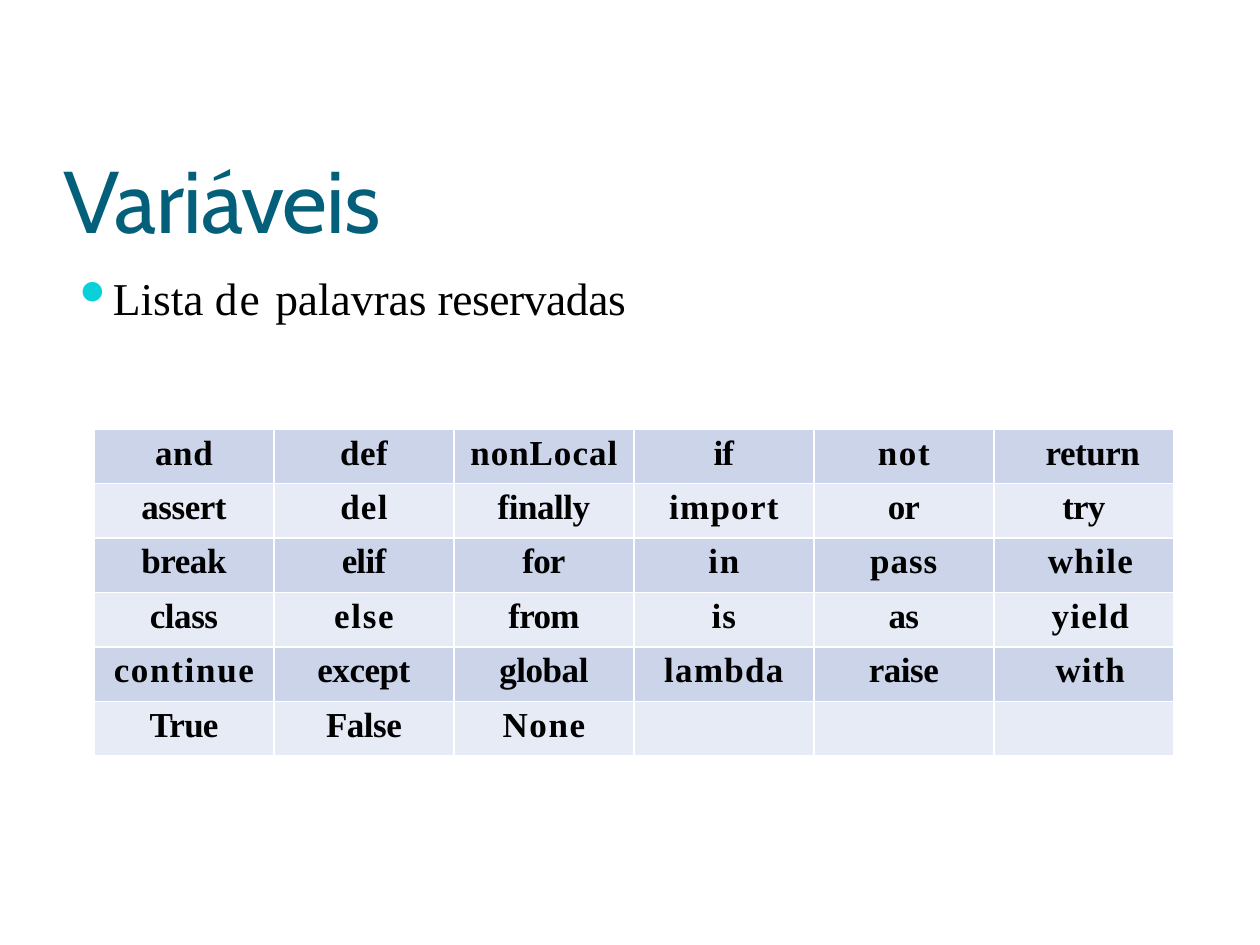
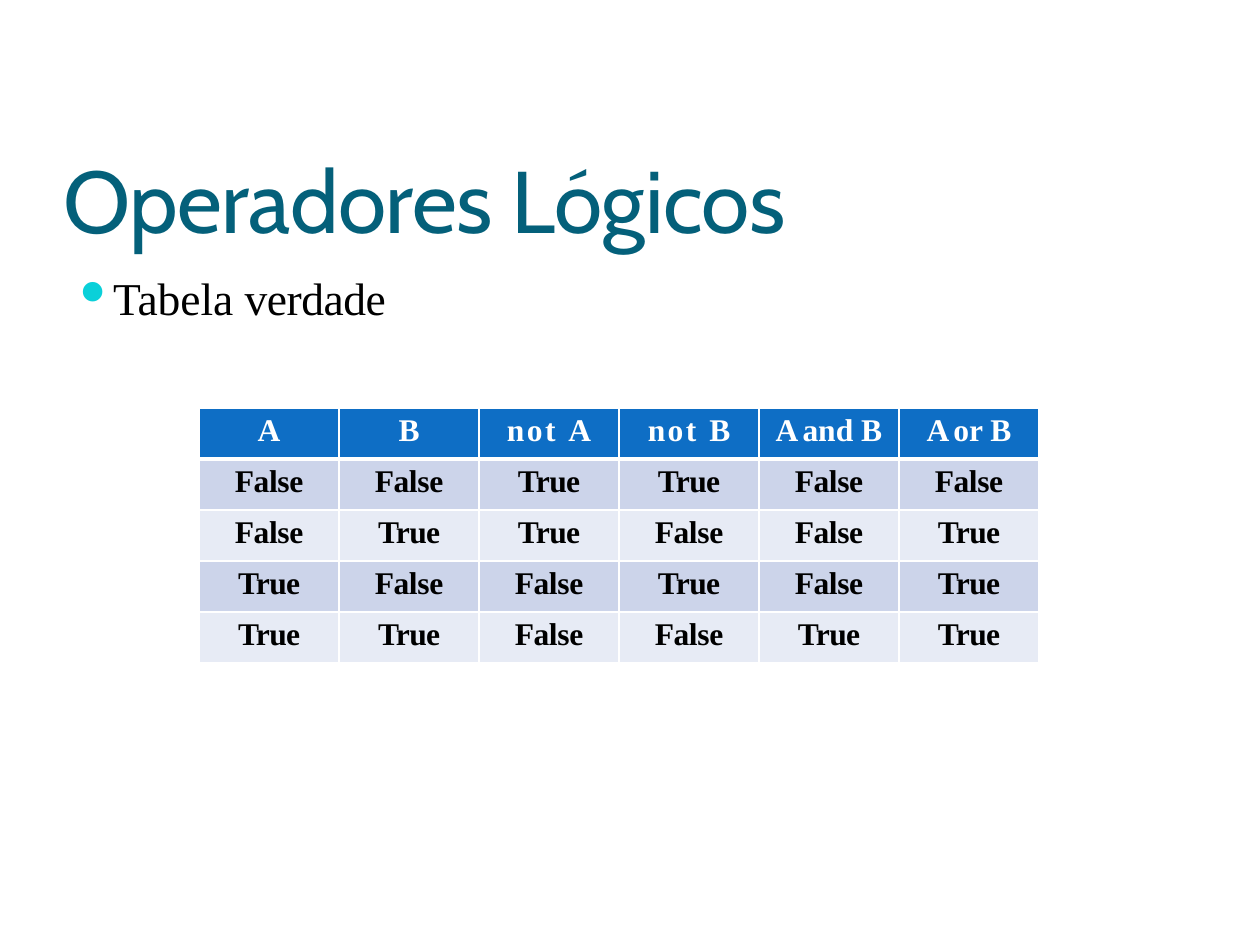
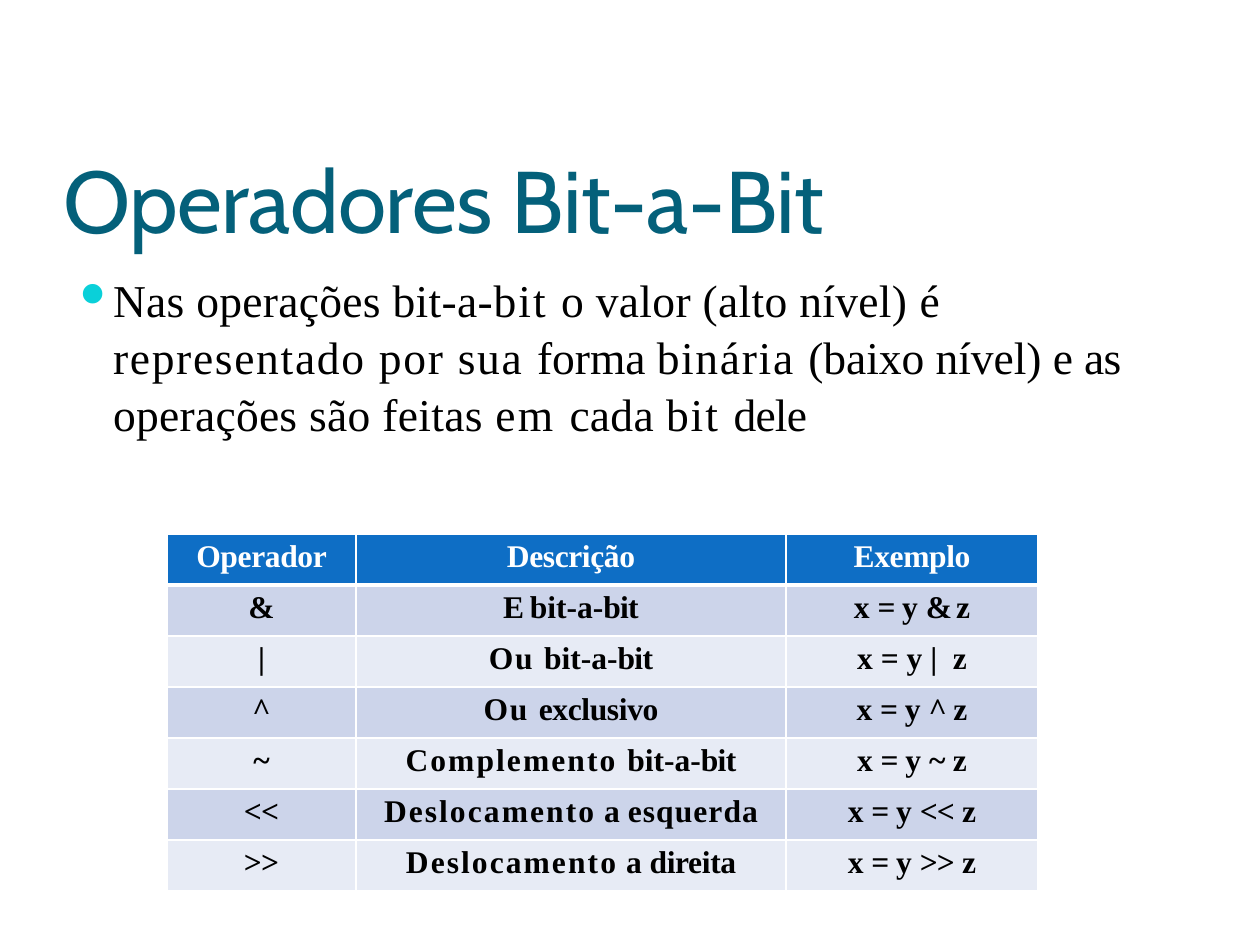
from dataclasses import dataclass

from lxml.etree import SubElement as Sub
from pptx import Presentation
from pptx.dml.color import RGBColor as Rgb
from pptx.enum.text import MSO_AUTO_SIZE as Auto, PP_ALIGN as Align
from pptx.oxml.ns import qn
from pptx.util import Emu, Pt

SCALE = 914400 / 252  # EMU in one px


@dataclass(frozen=True)
class Theme:
    head: str = "Cabin"
    body: str = "Times New Roman"
    title: str = "04607A"
    ink: str = "000000"
    white: str = "FFFFFF"
    dot: str = "0AD0D9"
    blue: str = "0E6EC5"
    bands: tuple = ("CCD4EA", "E7EBF5")
    big: int = 25
    text: int = 13
    thin: float = 0.5
    thick: float = 1.5


LOOK = Theme()

# Content: each text is a list of (words, letter spacing in points)
YES, NO = [("True", -0.2)], [("False", -0.1)]
NOT, AND, OR = ("not ", 0.7), ("and ", 0), ("or ", 0)
A, B, A_GAP = ("A", -0.5), ("B", -0.5), ("A ", -0.6)
BIT = [("bit-a-", 0), ("bit", -0.2)]
OU = ("Ou ", 0.5)
MOVE = [("Deslocamento", 0.6), (" a ", 0)]
X_EQ_Y = [("x ", 0), ("= ", -0.3), ("y ", 0)]

WORDS = [
    [("and", 0.2), ("def", 0.2), ("nonLocal", 0.3), ("if", -0.2), ("not", 0.5), ("return", -0.1)],
    [("assert", -0.1), ("del", 0.4), ("finally", -0.1), ("import", 0.4), ("or", -0.2), ("try", -0.2)],
    [("break", -0.1), ("elif", -0.2), ("for", -0.2), ("in", 0.5), ("pass", 0.3), ("while", 0.4)],
    [("class", -0.1), ("else", 0.5), ("from", -0.2), ("is", 0.3), ("as", -0.2), ("yield", 0.4)],
    [("continue", 0.5), ("except", -0.1), ("global", -0.1), ("lambda", 0.4), ("raise", -0.1), ("with", 0.3)],
    [("True", -0.2), ("False", -0.1), ("None", 0.5), None, None, None],
]
# Words set flush right, with their right indent in px
FLUSH = {"return": 34, "while": 41, "yield": 45, "with": 49}

TRUTH = [
    [[A], [B], [NOT, A], [NOT, B], [A_GAP, AND, B], [A_GAP, OR, B]],
    [NO, NO, YES, YES, NO, NO],
    [NO, YES, YES, NO, NO, YES],
    [YES, NO, NO, YES, NO, YES],
    [YES, YES, NO, NO, YES, YES],
]

BITS = [
    [[("Operador", -0.1)], [("Descrição", -0.1)], [("Exemplo", -0.1)]],
    [[("&", -0.5)], [("E ", -0.6), *BIT], [*X_EQ_Y, ("& ", -1.1), ("z", 0.1)]],
    [[("|", 0.7)], [OU, *BIT], [("x = y ", 0), ("| ", 1.1), ("z", 0.1)]],
    [[("^", -0.5)], [OU, ("exclusivo", -0.1)], [*X_EQ_Y, ("^ ", -0.4), ("z", -0.1)]],
    [[("~", -0.5)], [("Complemento ", 0.6), *BIT], [*X_EQ_Y, ("~", 0), (" z", -0.1)]],
    [[("<<", -0.2)], [*MOVE, ("esquerda", 0.3)], [*X_EQ_Y, ("<< ", -0.2), ("z", 0.1)]],
    [[(">>", -0.2)], [*MOVE, ("direita", -0.1)], [*X_EQ_Y, (">> ", -0.2), ("z", 0.1)]],
]

SLIDES = [
    dict(
        title=[("Variáveis", -0.2)],
        point=[("Lista ", 0), ("de ", 0.6), ("palavras ", 0), ("reservadas", -0.1)],
        box=(580, 60), lead=1,
        rows=[[[word] if word else [] for word in row] for row in WORDS],
        at=(94, 429), cols=[180] * 6, high=327, size=10, header=False,
    ),
    dict(
        title=[("Operadores Lógicos", -0.1)],
        point=[("Tabela ", 0), ("verdade", -0.1)],
        box=(335, 60), lead=1,
        rows=TRUTH,
        at=(199, 408), cols=[140] * 6, high=255, size=9, header=True,
    ),
    dict(
        title=[("Operadores Bit-a-", -0.1), ("Bit", -0.2)],
        point=[
            ("Nas operações bit-a-", 0.1), ("bit ", 0.6), ("o valor (alto nível) ", 0.1),
            ("é ", -0.5), ("representado por sua ", 0.5), ("forma ", 0), ("binária ", 0.5),
            ("(baixo nível) e ", 0), ("as ", -0.2), ("operações são feitas ", 0.1),
            ("em ", 0.7), ("cada ", 0.1), ("bit ", 0.6), ("dele", -0.2),
        ],
        box=(1066, 171), lead=1.04,
        rows=BITS,
        at=(167, 534), cols=[189, 430, 252], high=357, size=9, header=True,
    ),
]


def px(n):
    return Emu(round(n * SCALE))


def write(para, parts, face, size, color, bold=False, before=0.9):
    para.space_before = Pt(before)
    for words, gap in parts:
        run = para.add_run()
        run.text = words
        font = run.font
        font.name, font.size, font.bold = face, Pt(size), bold
        font.color.rgb = Rgb.from_string(color)
        font._element.set("spc", str(round(gap * 100)))


def add_box(slide, x, y, w, h, top):
    frame = slide.shapes.add_textbox(px(x), px(y), px(w), px(h)).text_frame
    frame.word_wrap = True
    frame.auto_size = Auto.SHAPE_TO_FIT_TEXT
    frame.margin_left = frame.margin_right = frame.margin_bottom = 0
    frame.margin_top = px(top)
    return frame.paragraphs[0]


def indent(para, left, first):
    props = para._p.get_or_add_pPr()
    props.set("marL", str(px(left)))
    props.set("indent", str(px(first)))
    return props


def add_title(slide, parts):
    para = add_box(slide, 60, 58, 1142, 197, 88)
    indent(para, 3, 0)
    write(para, parts, LOOK.head, LOOK.big, LOOK.title)


def add_point(slide, parts, box, lead):
    para = add_box(slide, 73, 267, *box, 3)
    para.line_spacing = lead
    write(para, parts, LOOK.body, LOOK.text, LOOK.ink)
    props = indent(para, 40, -38)
    Sub(Sub(props, qn("a:buClr")), qn("a:srgbClr"), val=LOOK.dot)
    Sub(props, qn("a:buSzPct"), val="92000")
    Sub(props, qn("a:buChar"), char="⚫")
    Sub(Sub(props, qn("a:tabLst")), qn("a:tab"), pos=str(px(40)), algn="l")


def add_edges(cell, top, base):
    props = cell._tc.get_or_add_tcPr()
    widths = dict(lnL=LOOK.thin, lnR=LOOK.thin, lnT=top, lnB=base)
    for i, (side, width) in enumerate(widths.items()):
        line = props.makeelement(qn("a:" + side), {"w": str(Pt(width))})
        Sub(Sub(line, qn("a:solidFill")), qn("a:srgbClr"), val=LOOK.white)
        props.insert(i, line)


def fill_cell(cell, parts, size, fill, color):
    cell.margin_left = cell.margin_right = cell.margin_bottom = 0
    cell.margin_top = px(5)
    cell.fill.solid()
    cell.fill.fore_color.rgb = Rgb.from_string(fill)
    para = cell.text_frame.paragraphs[0]
    para.alignment = Align.CENTER
    write(para, parts, LOOK.body, size, color, True, 1.2)
    if not parts:
        Sub(para._p, qn("a:endParaRPr"), sz=str(size * 100))
    elif parts[0][0] in FLUSH:
        para.alignment = Align.RIGHT
        para._p.get_or_add_pPr().set("marR", str(px(FLUSH[parts[0][0]])))


def add_grid(slide, rows, at, cols, high, size, header):
    x, y = at
    shape = slide.shapes.add_table(len(rows), len(cols), px(x), px(y), px(sum(cols)), px(high))
    table = shape.table
    table.first_row = table.horz_banding = False
    for col, wide in zip(table.columns, cols):
        col.width = px(wide)
    for r, row in enumerate(rows):
        table.rows[r].height = px(high / len(rows))
        is_head = header and r == 0
        fill = LOOK.blue if is_head else LOOK.bands[(r - header) % 2]
        color = LOOK.white if is_head else LOOK.ink
        top = LOOK.thick if header and r == 1 else LOOK.thin
        base = LOOK.thick if is_head else LOOK.thin
        for c, parts in enumerate(row):
            cell = table.cell(r, c)
            fill_cell(cell, parts, size, fill, color)
            add_edges(cell, top, base)


def main():
    deck = Presentation()
    deck.slide_width, deck.slide_height = px(1260), px(945)
    for page in SLIDES:
        slide = deck.slides.add_slide(deck.slide_layouts[6])
        add_title(slide, page["title"])
        add_point(slide, page["point"], page["box"], page["lead"])
        keys = ("rows", "at", "cols", "high", "size", "header")
        add_grid(slide, *(page[key] for key in keys))
    deck.save("out.pptx")


if __name__ == "__main__":
    main()
